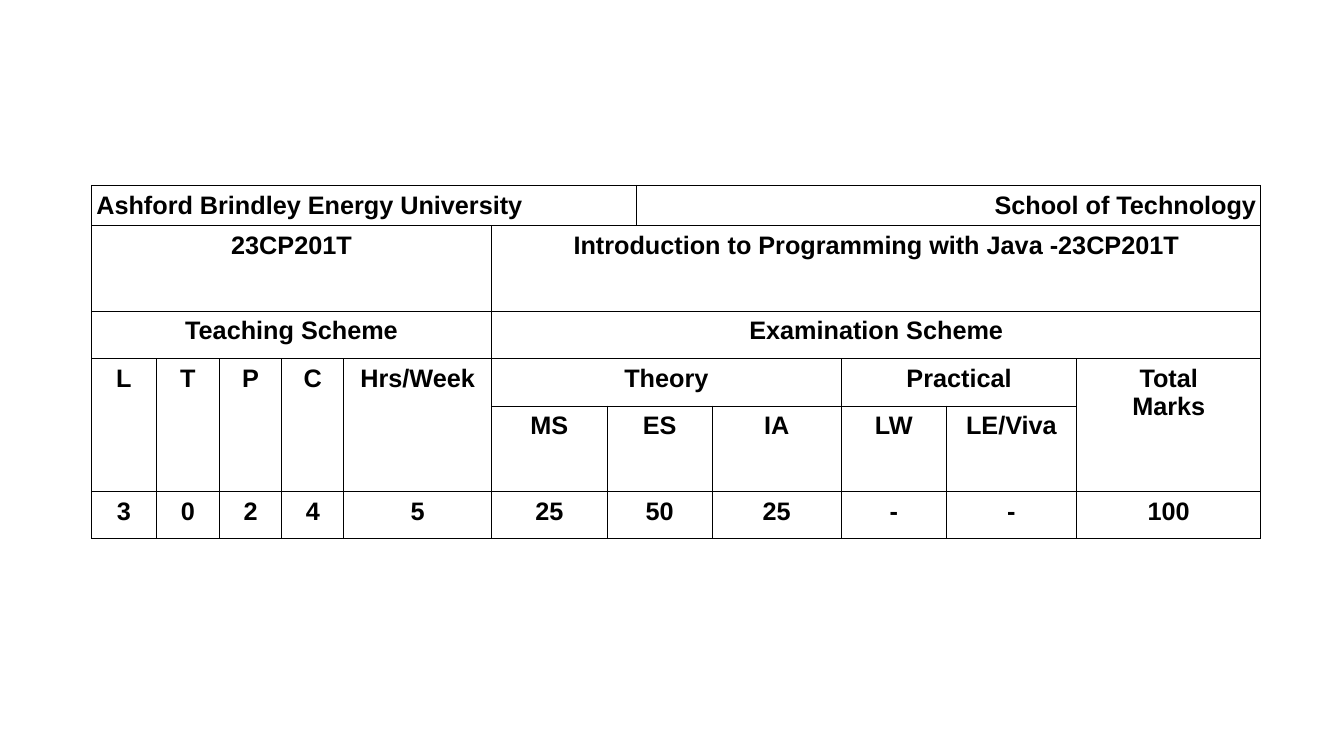
import dataclasses

import lxml.etree
import pptx
import pptx.dml.color
import pptx.enum.text
import pptx.oxml.ns
import pptx.slide
import pptx.table
import pptx.util

ALIGN = pptx.enum.text.PP_ALIGN


@dataclasses.dataclass(frozen=True)
class Theme:
    font: str = "Arial"
    size: float = 14.9
    ink: str = "000000"
    border_width: float = 0.57
    side_margin: float = 0.04
    end_margin: float = 0.05


@dataclasses.dataclass(frozen=True)
class Entry:
    text: str
    columns: int = 1
    rows: int = 1
    align: ALIGN = ALIGN.CENTER


THEME = Theme()
TABLE_LEFT, TABLE_TOP = 0.75, 1.52
COLUMN_WIDTHS = (0.53, 0.52, 0.51, 0.51, 1.21, 0.95, 0.24, 0.62, 1.06, 0.86, 1.07, 1.51)
ROW_HEIGHTS = (0.33, 0.7, 0.39, 0.39, 0.7, 0.39)
SCHEME = (
    (
        Entry("Ashford Brindley Energy University", 7, align=ALIGN.LEFT),
        Entry("School of Technology", 5, align=ALIGN.RIGHT),
    ),
    (Entry("23CP201T", 5), Entry("Introduction to Programming with Java -23CP201T", 7)),
    (Entry("Teaching Scheme", 5), Entry("Examination Scheme", 7)),
    (
        *(Entry(heading, rows=2) for heading in ("L", "T", "P", "C", "Hrs/Week")),
        Entry("Theory", 4),
        Entry("Practical", 2),
        Entry("Total\nMarks", rows=2),
    ),
    (Entry("MS"), Entry("ES", 2), Entry("IA"), Entry("LW"), Entry("LE/Viva")),
    (
        *(Entry(value) for value in ("3", "0", "2", "4", "5", "25")),
        Entry("50", 2),
        *(Entry(value) for value in ("25", "-", "-", "100")),
    ),
)


def add_borders(cell: pptx.table._Cell) -> None:
    properties = cell._tc.get_or_add_tcPr()
    qualify = pptx.oxml.ns.qn
    for position, side in enumerate(("lnL", "lnR", "lnT", "lnB")):
        line = lxml.etree.Element(qualify(f"a:{side}"), w=str(pptx.util.Pt(THEME.border_width)))
        fill = lxml.etree.SubElement(line, qualify("a:solidFill"))
        lxml.etree.SubElement(fill, qualify("a:srgbClr"), val=THEME.ink)
        properties.insert(position, line)


def format_cell(cell: pptx.table._Cell, align: ALIGN) -> None:
    cell.margin_left = cell.margin_right = pptx.util.Inches(THEME.side_margin)
    cell.margin_top = cell.margin_bottom = pptx.util.Inches(THEME.end_margin)
    for paragraph in cell.text_frame.paragraphs:
        paragraph.alignment = align
        paragraph.font.name = THEME.font
        paragraph.font.size = pptx.util.Pt(THEME.size)
        paragraph.font.bold = True
        paragraph.font.color.rgb = pptx.dml.color.RGBColor.from_string(THEME.ink)


def fill_table(table: pptx.table.Table) -> None:
    for row, entries in enumerate(SCHEME):
        column = 0
        for entry in entries:
            while table.cell(row, column).is_spanned:
                column += 1
            cell = table.cell(row, column)
            if entry.columns > 1 or entry.rows > 1:
                cell.merge(table.cell(row + entry.rows - 1, column + entry.columns - 1))
            cell.text = entry.text
            format_cell(cell, entry.align)
            column += entry.columns


def add_scheme_table(slide: pptx.slide.Slide) -> None:
    table = slide.shapes.add_table(
        len(ROW_HEIGHTS),
        len(COLUMN_WIDTHS),
        pptx.util.Inches(TABLE_LEFT),
        pptx.util.Inches(TABLE_TOP),
        pptx.util.Inches(sum(COLUMN_WIDTHS)),
        pptx.util.Inches(sum(ROW_HEIGHTS)),
    ).table
    table.first_row = False
    table.horz_banding = False
    for column, width in zip(table.columns, COLUMN_WIDTHS):
        column.width = pptx.util.Inches(width)
    for row, height in zip(table.rows, ROW_HEIGHTS):
        row.height = pptx.util.Inches(height)
    for cell in table.iter_cells():
        cell.fill.background()
        add_borders(cell)
    fill_table(table)


def main() -> None:
    presentation = pptx.Presentation()
    presentation.slide_width = pptx.util.Inches(11.02)
    presentation.slide_height = pptx.util.Inches(6.2)
    slide = presentation.slides.add_slide(presentation.slide_layouts.get_by_name("Blank"))
    add_scheme_table(slide)
    presentation.save("out.pptx")


if __name__ == "__main__":
    main()
